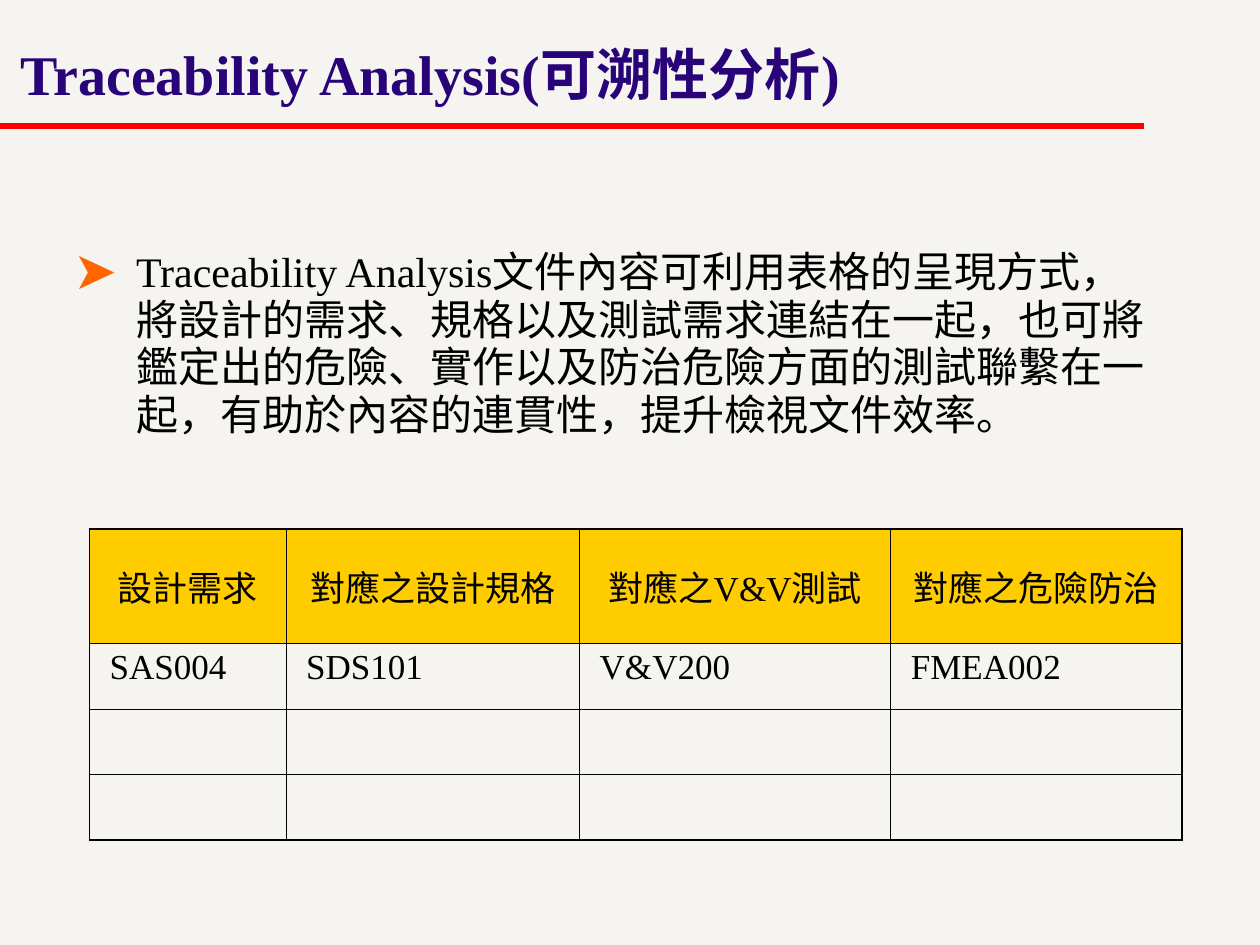
from dataclasses import dataclass

from lxml import etree
from pptx import Presentation
from pptx import util as u
from pptx.dml.color import RGBColor
from pptx.enum import shapes, text
from pptx.oxml import ns

COLORS = {
    "background": "F6F4F0",
    "rule": "FF0000",
    "title": "280478",
    "bullet": "FF6600",
    "text": "000000",
    "header": "FFCC00",
}
FONT = "Times New Roman"
OUTER_LINE, INNER_LINE = 0.96, 0.45
COLUMN_WIDTHS = [1.56, 2.33, 2.47, 2.31]
ROW_HEIGHTS = [0.49, 0.52, 0.52, 0.52]


@dataclass
class Cell:
    words: str
    row: int
    column: int

    @property
    def is_header(self) -> bool:
        return self.row == 0

    def borders(self) -> dict[str, float]:
        """Line width by side: heavier on the rim of the table."""
        on_rim = {
            "lnL": self.column == 0,
            "lnR": self.column == len(COLUMN_WIDTHS) - 1,
            "lnT": self.row == 0,
            "lnB": self.row == len(ROW_HEIGHTS) - 1,
        }
        return {side: OUTER_LINE if rim else INNER_LINE for side, rim in on_rim.items()}


ROWS = [
    ["設計需求", "對應之設計規格", "對應之V&V測試", "對應之危險防治"],
    ["SAS004", "SDS101", "V&V200", "FMEA002"],
    [""] * 4,
    [""] * 4,
]
CELLS = [Cell(words, row, column)
         for row, line in enumerate(ROWS)
         for column, words in enumerate(line)]


def rgb(name: str) -> RGBColor:
    return RGBColor.from_string(COLORS[name])


def add_element(parent, tag: str, **attributes: str):
    return etree.SubElement(parent, ns.qn(tag), attributes)


def add_color(parent, tag: str, name: str) -> None:
    add_element(add_element(parent, tag), "a:srgbClr", val=COLORS[name])


def style_font(para, size: float, color: str, bold: bool = False) -> None:
    for span in para.runs:
        span.font.name = FONT
        span.font.size = u.Pt(size)
        span.font.bold = bold
        span.font.color.rgb = rgb(color)


def set_indent(para, inches: float) -> None:
    """Hang the first line by the given length."""
    properties = para._p.get_or_add_pPr()
    properties.set("marL", str(u.Inches(inches)))
    properties.set("indent", str(-u.Inches(inches)))


def fill_placeholder(box, place: tuple, words: str, spacing: float, indent: float):
    box.left, box.top, box.width, box.height = map(u.Inches, place)
    frame = box.text_frame
    frame.text = words
    frame.word_wrap = True
    frame.auto_size = text.MSO_AUTO_SIZE.NONE
    frame.vertical_anchor = text.MSO_ANCHOR.MIDDLE
    frame.margin_left = frame.margin_right = u.Inches(0.16)
    frame.margin_top = frame.margin_bottom = u.Inches(0.08)
    para = frame.paragraphs[0]
    para.alignment = text.PP_ALIGN.LEFT
    para.line_spacing = spacing
    para.space_before = u.Pt(0)
    set_indent(para, indent)
    return para


def add_bullet(para) -> None:
    properties = para._p.get_or_add_pPr()
    add_color(properties, "a:buClr", "bullet")
    add_element(properties, "a:buSzPct", val="125000")
    add_element(properties, "a:buChar", char="➤")


def add_rule(page) -> None:
    rule = page.shapes.add_connector(
        shapes.MSO_CONNECTOR.STRAIGHT,
        u.Inches(0), u.Inches(1), u.Inches(9.08), u.Inches(1))
    rule.line.color.rgb = rgb("rule")
    rule.line.width = u.Pt(3)
    add_element(rule._element.spPr, "a:effectLst")


def draw_cell(grid, item: Cell) -> None:
    cell = grid.cell(item.row, item.column)
    cell.margin_left = cell.margin_right = u.Inches(0.16)
    cell.margin_top = cell.margin_bottom = u.Inches(0.05)
    for side, width in item.borders().items():
        line = add_element(cell._tc.get_or_add_tcPr(), "a:" + side, w=str(u.Pt(width)))
        add_color(line, "a:solidFill", "text")

    cell.text_frame.text = item.words
    para = cell.text_frame.paragraphs[0]
    if item.is_header:
        cell.fill.solid()
        cell.fill.fore_color.rgb = rgb("header")
        cell.vertical_anchor = text.MSO_ANCHOR.MIDDLE
        para.alignment = text.PP_ALIGN.CENTER
        set_indent(para, 0.5)
    else:
        cell.fill.background()
        para.line_spacing = 0.95
    style_font(para, 20, "text")


def add_trace_table(page) -> None:
    grid = page.shapes.add_table(
        len(ROW_HEIGHTS), len(COLUMN_WIDTHS), u.Inches(0.71), u.Inches(4.2),
        u.Inches(sum(COLUMN_WIDTHS)), u.Inches(sum(ROW_HEIGHTS))).table
    grid.first_row = grid.horz_banding = False
    for column, width in zip(grid.columns, COLUMN_WIDTHS):
        column.width = u.Inches(width)
    for row, height in zip(grid.rows, ROW_HEIGHTS):
        row.height = u.Inches(height)
    for item in CELLS:
        draw_cell(grid, item)


def main() -> None:
    deck = Presentation()
    deck.slide_width, deck.slide_height = u.Inches(10), u.Inches(7.5)
    page = deck.slides.add_slide(deck.slide_layouts[1])
    page.background.fill.solid()
    page.background.fill.fore_color.rgb = rgb("background")

    add_rule(page)
    title = fill_placeholder(page.shapes.title, (0, 0, 8.9, 1.25),
                             "Traceability Analysis(可溯性分析)", 0.85, 0.37)
    style_font(title, 32, "title", bold=True)

    body = fill_placeholder(
        page.placeholders[1], (0.42, 1.25, 8.88, 2.97),
        "Traceability Analysis文件內容可利用表格的呈現方式，"
        "將設計的需求、規格以及測試需求連結在一起，"
        "也可將鑑定出的危險、實作以及防治危險方面的測試聯繫在一起，"
        "有助於內容的連貫性，提升檢視文件效率。", 0.95, 0.5)
    add_bullet(body)
    style_font(body, 24, "text")

    add_trace_table(page)
    deck.save("out.pptx")


if __name__ == "__main__":
    main()
